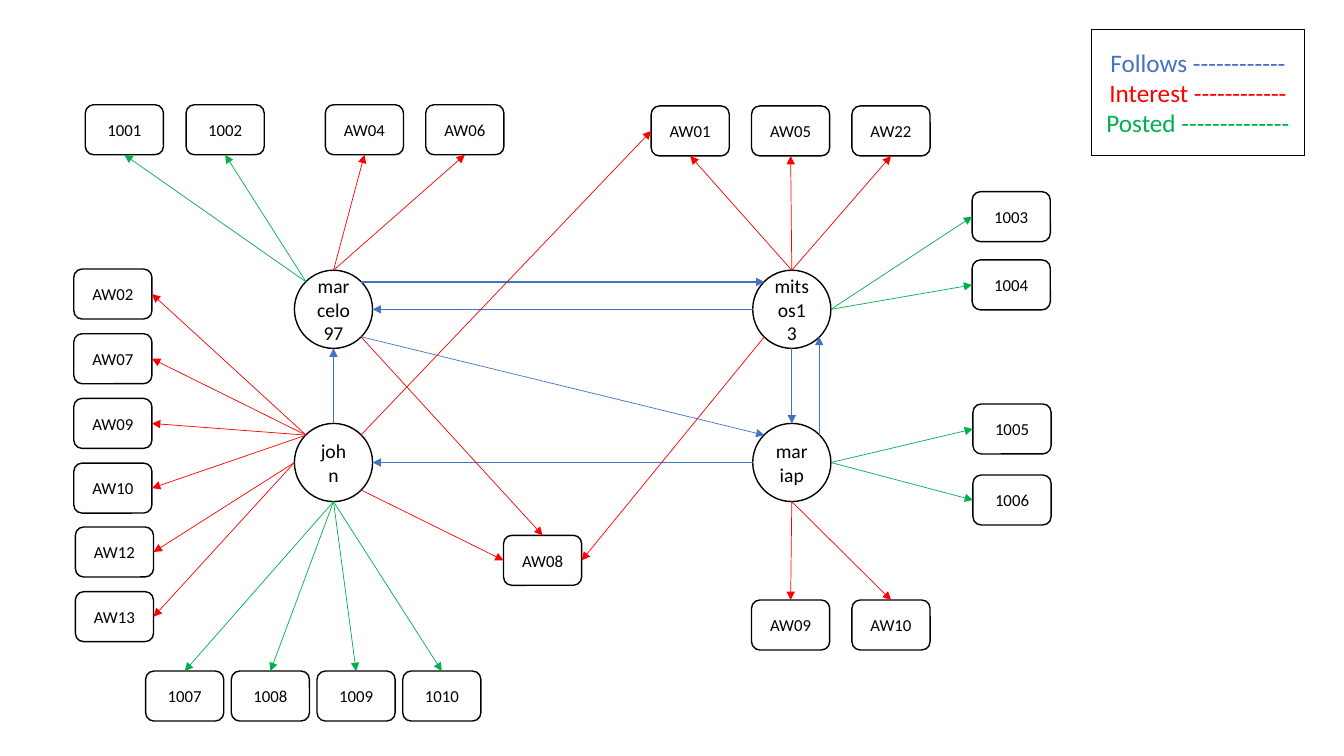
from dataclasses import dataclass
from enum import Enum

from lxml.etree import SubElement
from pptx import Presentation
from pptx.dml.color import RGBColor
from pptx.enum.shapes import MSO_CONNECTOR, MSO_SHAPE
from pptx.enum.text import MSO_ANCHOR, PP_ALIGN
from pptx.oxml.ns import qn
from pptx.util import Cm, Pt


@dataclass(frozen=True)
class Theme:
    font: str = "Calibri"
    paper: str = "FFFFFF"
    ink: str = "000000"
    follows: str = "4472C4"
    interest: str = "FF0000"
    posted: str = "00B050"
    legend_size: int = 18
    person_size: int = 14
    item_size: int = 12
    outline: float = 1
    thin: float = 0.5
    bold: float = 1.5


class Site(Enum):
    TOP = (0.5, 0)
    LEFT = (0, 0.5)
    BOTTOM = (0.5, 1)
    RIGHT = (1, 0.5)
    TOP_LEFT = (0.15, 0.15)
    TOP_RIGHT = (0.85, 0.15)
    BOTTOM_LEFT = (0.15, 0.85)
    BOTTOM_RIGHT = (0.85, 0.85)


@dataclass(frozen=True)
class Node:
    text: str
    left: float
    top: float
    width: float = 1.97
    height: float = 1.26

    def point(self, site: Site) -> tuple[int, int]:
        across, down = site.value
        return Cm(self.left + across * self.width), Cm(self.top + down * self.height)


@dataclass(frozen=True)
class Link:
    source: Node
    source_site: Site
    target: Node
    target_site: Site
    color: str
    weight: float


@dataclass(frozen=True)
class Fan:
    person: Node
    person_site: Site
    item_site: Site
    color: str
    labels: str
    left: float
    top: float
    step_right: float = 0
    step_down: float = 0

    def items(self) -> list[Node]:
        return [
            Node(label, self.left + index * self.step_right, self.top + index * self.step_down)
            for index, label in enumerate(self.labels.split())
        ]


theme = Theme()
deck = Presentation()
deck.slide_width, deck.slide_height = Cm(33.87), Cm(19.05)
page = deck.slides.add_slide(deck.slide_layouts[6])


def write(frame, text: str, *, size: float, colors: list[str]) -> None:
    frame.word_wrap = True
    frame.vertical_anchor = MSO_ANCHOR.MIDDLE
    frame.text = text
    for para, color in zip(frame.paragraphs, colors):
        para.alignment = PP_ALIGN.CENTER
        for span in para.runs:
            span.font.name = theme.font
            span.font.size = Pt(size)
            span.font.color.rgb = RGBColor.from_string(color)


def draw_node(node: Node, kind: MSO_SHAPE, size: float, colors: list[str]) -> None:
    box = page.shapes.add_shape(
        kind, Cm(node.left), Cm(node.top), Cm(node.width), Cm(node.height)
    )
    box.shadow.inherit = False
    box.fill.solid()
    box.fill.fore_color.rgb = RGBColor.from_string(theme.paper)
    box.line.color.rgb = RGBColor.from_string(theme.ink)
    box.line.width = Pt(theme.outline)
    write(box.text_frame, node.text, size=size, colors=colors)


def draw_link(link: Link) -> None:
    arrow = page.shapes.add_connector(
        MSO_CONNECTOR.STRAIGHT,
        *link.source.point(link.source_site),
        *link.target.point(link.target_site),
    )
    arrow.line.color.rgb = RGBColor.from_string(link.color)
    arrow.line.width = Pt(link.weight)
    properties = arrow._element.spPr
    SubElement(properties.find(qn("a:ln")), qn("a:tailEnd"), type="triangle")
    SubElement(properties, qn("a:effectLst"))


marcelo, mitsos, john, mariap = people = [
    Node(name, left, top, height=1.97)
    for name, left, top in (
        ("marcelo97", 7.42, 6.81),
        ("mitsos13", 18.97, 6.81),
        ("john", 7.42, 10.67),
        ("mariap", 18.97, 10.67),
    )
]
shared = Node("AW08", 12.69, 13.49)
legend = Node(
    "Follows ------------\nInterest ------------\nPosted --------------",
    27.51, 0.74, 5.36, 3.18,
)

mitsos_likes = Fan(mitsos, Site.TOP, Site.BOTTOM, theme.interest,
                   "AW01 AW05 AW22", 16.41, 2.67, step_right=2.53)
fans = [
    mitsos_likes,
    Fan(marcelo, Site.TOP, Site.BOTTOM, theme.interest, "AW04 AW06", 8.2, 2.64, step_right=2.53),
    Fan(mariap, Site.BOTTOM, Site.TOP, theme.interest, "AW09 AW10", 18.94, 15.12, step_right=2.53),
    Fan(john, Site.TOP_LEFT, Site.RIGHT, theme.interest,
        "AW02 AW07 AW09 AW10", 1.86, 6.78, step_down=1.63),
    Fan(john, Site.LEFT, Site.RIGHT, theme.interest, "AW12 AW13", 1.9, 13.28, step_down=1.63),
    Fan(marcelo, Site.TOP_LEFT, Site.BOTTOM, theme.posted, "1001 1002", 2.15, 2.64, step_right=2.54),
    Fan(mitsos, Site.RIGHT, Site.LEFT, theme.posted, "1003 1004", 24.5, 4.83, step_down=1.72),
    Fan(mariap, Site.RIGHT, Site.LEFT, theme.posted, "1005 1006", 24.52, 10.18, step_down=1.79),
    Fan(john, Site.BOTTOM, Site.TOP, theme.posted,
        "1007 1008 1009 1010", 3.67, 16.91, step_right=2.16),
]

links = [
    Link(source, start, target, end, theme.follows, weight)
    for source, start, target, end, weight in (
        (mitsos, Site.LEFT, marcelo, Site.RIGHT, theme.thin),
        (marcelo, Site.BOTTOM_RIGHT, mariap, Site.TOP_LEFT, theme.thin),
        (marcelo, Site.TOP_RIGHT, mitsos, Site.TOP_LEFT, theme.bold),
        (john, Site.TOP, marcelo, Site.BOTTOM, theme.thin),
        (mitsos, Site.BOTTOM, mariap, Site.TOP, theme.thin),
        (mariap, Site.LEFT, john, Site.RIGHT, theme.thin),
        (mariap, Site.TOP_RIGHT, mitsos, Site.BOTTOM_RIGHT, theme.thin),
    )
]
links += [
    Link(source, start, target, end, theme.interest, theme.thin)
    for source, start, target, end in (
        (marcelo, Site.BOTTOM_RIGHT, shared, Site.TOP),
        (mitsos, Site.BOTTOM_LEFT, shared, Site.RIGHT),
        (john, Site.BOTTOM_RIGHT, shared, Site.LEFT),
        (john, Site.TOP_RIGHT, mitsos_likes.items()[0], Site.LEFT),
    )
]
links += [
    Link(fan.person, fan.person_site, item, fan.item_site, fan.color, theme.thin)
    for fan in fans
    for item in fan.items()
]

for person in people:
    draw_node(person, MSO_SHAPE.OVAL, theme.person_size, [theme.ink])
for item in [shared, *(item for fan in fans for item in fan.items())]:
    draw_node(item, MSO_SHAPE.ROUNDED_RECTANGLE, theme.item_size, [theme.ink])
draw_node(legend, MSO_SHAPE.RECTANGLE, theme.legend_size,
          [theme.follows, theme.interest, theme.posted])
for link in links:
    draw_link(link)

deck.save("out.pptx")
